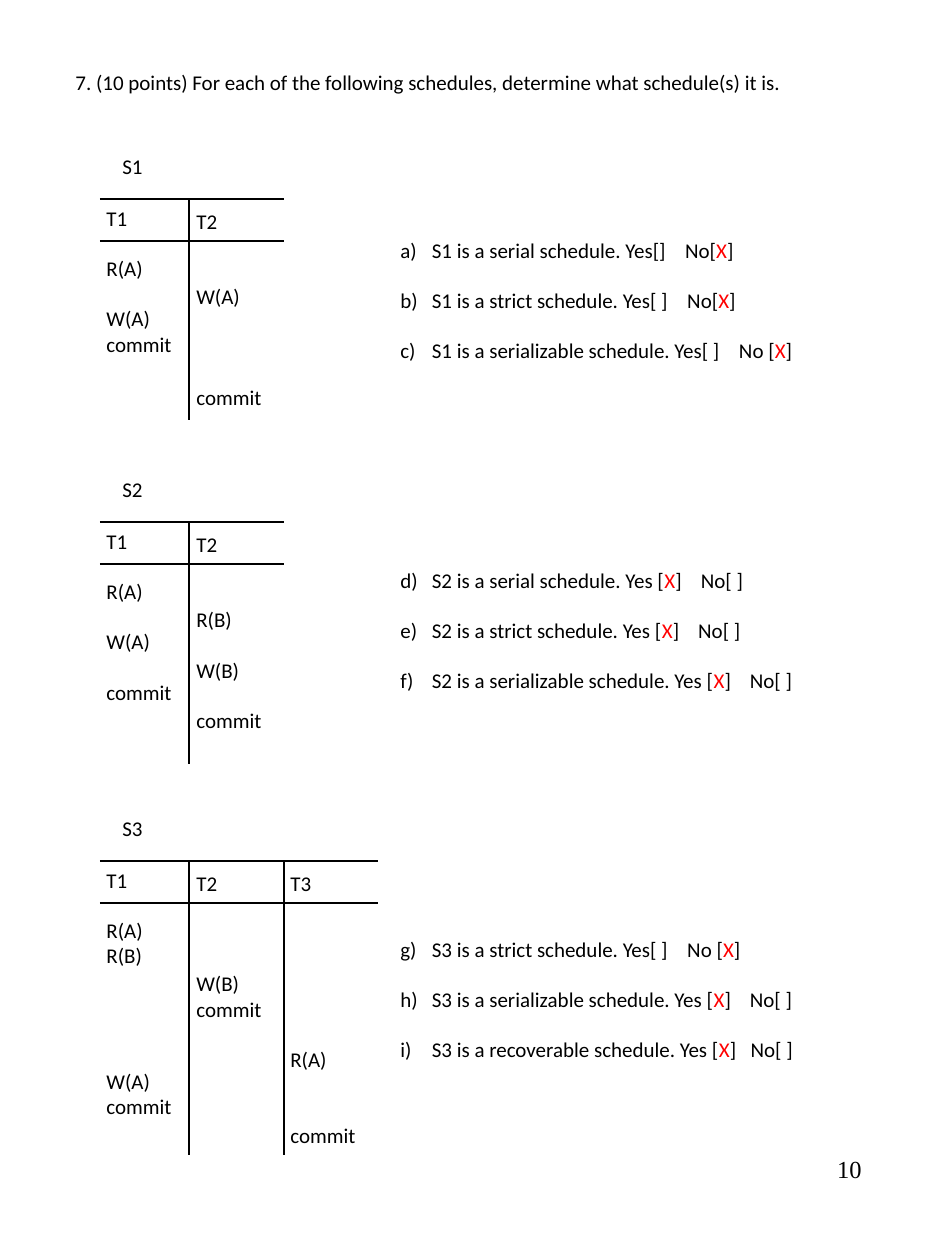
from lxml.etree import SubElement
from pptx import Presentation
from pptx.dml.color import RGBColor
from pptx.enum.shapes import MSO_CONNECTOR
from pptx.enum.text import MSO_AUTO_SIZE, PP_ALIGN
from pptx.oxml.ns import qn
from pptx.util import Emu, Pt

BLACK = RGBColor(0, 0, 0)
RED = RGBColor(255, 0, 0)
WHITE = RGBColor(255, 255, 255)
LINE_HEIGHT = 25
COLUMN_EDGES = [100, 189, 284, 378]
TEXT_LEFTS = [94, 184, 278]

SCHEDULES = [
    dict(
        name="S1", top=199, bottom=420, answers_top=231, first_letter=1,
        columns=[
            ("T1", [(1, "R(A)"), (1, "W(A)"), (0, "commit")]),
            ("T2", [(2, "W(A)"), (3, "commit")]),
        ],
        answers=[
            ("S1 is a serial schedule. Yes[]", 8.1, "No[X]"),
            ("S1 is a strict schedule. Yes[ ]", 8.1, "No[X]"),
            ("S1 is a serializable schedule. Yes[ ]", 8.1, "No [X]"),
        ],
    ),
    dict(
        name="S2", top=522, bottom=764, answers_top=561, first_letter=4,
        columns=[
            ("T1", [(1, "R(A)"), (1, "W(A)"), (1, "commit")]),
            ("T2", [(2, "R(B)"), (1, "W(B)"), (1, "commit")]),
        ],
        answers=[
            ("S2 is a serial schedule. Yes [X]", 8.1, "No[ ]"),
            ("S2 is a strict schedule. Yes [X]", 8.1, "No[ ]"),
            ("S2 is a serializable schedule. Yes [X]", 8.1, "No[ ]"),
        ],
    ),
    dict(
        name="S3", top=861, bottom=1155, answers_top=930, first_letter=7,
        columns=[
            ("T1", [(1, "R(A)"), (0, "R(B)"), (4, "W(A)"), (0, "commit")]),
            ("T2", [(3, "W(B)"), (0, "commit")]),
            ("T3", [(6, "R(A)"), (2, "commit")]),
        ],
        answers=[
            ("S3 is a strict schedule. Yes[ ]", 8.1, "No [X]"),
            ("S3 is a serializable schedule. Yes [X]", 8.1, "No[ ]"),
            ("S3 is a recoverable schedule. Yes [X]", 5.4, "No[ ]"),
        ],
    ),
]


def px(length):
    return Emu(round(length * 914400 / 126))


def add_run(paragraph, text, *, font="Calibri", size=12, color=BLACK, tracking=0):
    run = paragraph.add_run()
    run.text = text
    run.font.name = font
    run.font.size = Pt(size)
    run.font.color.rgb = color
    if tracking:
        run.font._element.set("spc", str(round(tracking * 100)))


class ExamPage:
    def __init__(self, slide):
        self.slide = slide
        slide.background.fill.solid()
        slide.background.fill.fore_color.rgb = WHITE

    def frame(self, left, top, width, height, grow=True):
        box = self.slide.shapes.add_textbox(px(left), px(top), px(width), px(height))
        frame = box.text_frame
        frame.word_wrap = True
        frame.auto_size = MSO_AUTO_SIZE.SHAPE_TO_FIT_TEXT if grow else MSO_AUTO_SIZE.NONE
        return frame

    def label(self, text, left, top, width, height=38):
        frame = self.frame(left, top, width, height)
        add_run(frame.paragraphs[0], text)

    def rule(self, x1, y1, x2, y2):
        connector = self.slide.shapes.add_connector(
            MSO_CONNECTOR.STRAIGHT, px(x1), px(y1), px(x2), px(y2))
        connector.line.color.rgb = BLACK
        connector.line.width = Pt(0.75)
        SubElement(connector._element.spPr, qn("a:effectLst"))

    def transaction(self, heading, steps, left, top, width):
        line_count = 1 + sum(gap + 1 for gap, _ in steps)
        frame = self.frame(left, top, width, line_count * LINE_HEIGHT + 13)
        add_run(frame.paragraphs[0], heading)
        for gap, operation in steps:
            paragraph = frame.add_paragraph()
            paragraph.space_before = Pt(14.4 * gap)
            add_run(paragraph, operation)

    def answers(self, answers, top, first_letter):
        frame = self.frame(388, top, 504, 140)
        for index, (yes_part, gap, no_part) in enumerate(answers):
            paragraph = frame.add_paragraph() if index else frame.paragraphs[0]
            if index:
                paragraph.space_before = Pt(14.4)
            properties = paragraph._p.get_or_add_pPr()
            properties.set("marL", "228600")
            properties.set("indent", "-228600")
            SubElement(properties, qn("a:buAutoNum"),
                       type="alphaLcParenR", startAt=str(first_letter))
            self.marked(paragraph, yes_part)
            add_run(paragraph, " ", tracking=gap)
            self.marked(paragraph, no_part)

    def marked(self, paragraph, text):
        before, mark, after = text.partition("X")
        add_run(paragraph, before)
        if mark:
            add_run(paragraph, mark, color=RED)
            add_run(paragraph, after)

    def schedule(self, name, top, bottom, columns, answers, answers_top, first_letter):
        right = COLUMN_EDGES[len(columns)]
        for y in (top, top + 42):
            self.rule(COLUMN_EDGES[0], y, right, y)
        for x in COLUMN_EDGES[1:len(columns)]:
            self.rule(x, top, x, bottom)
        self.label(name, 110, top - 52, 60)
        for index, (heading, steps) in enumerate(columns):
            offset, width = (3, 100) if index else (0, 105)
            self.transaction(heading, steps, TEXT_LEFTS[index], top + offset, width)
        self.answers(answers, answers_top, first_letter)

    def page_number(self, number):
        frame = self.frame(677, 1148, 197, 84, grow=False)
        paragraph = frame.paragraphs[0]
        paragraph.alignment = PP_ALIGN.RIGHT
        add_run(paragraph, number, font="Times New Roman", size=14)


def main():
    presentation = Presentation()
    presentation.slide_width = px(945)
    presentation.slide_height = px(1260)
    page = ExamPage(presentation.slides.add_slide(presentation.slide_layouts[6]))
    page.label("7. (10 points) For each of the following schedules, "
               "determine what schedule(s) it is.", 63, 63, 840)
    for schedule in SCHEDULES:
        page.schedule(**schedule)
    page.page_number("10")
    presentation.save("out.pptx")


if __name__ == "__main__":
    main()
